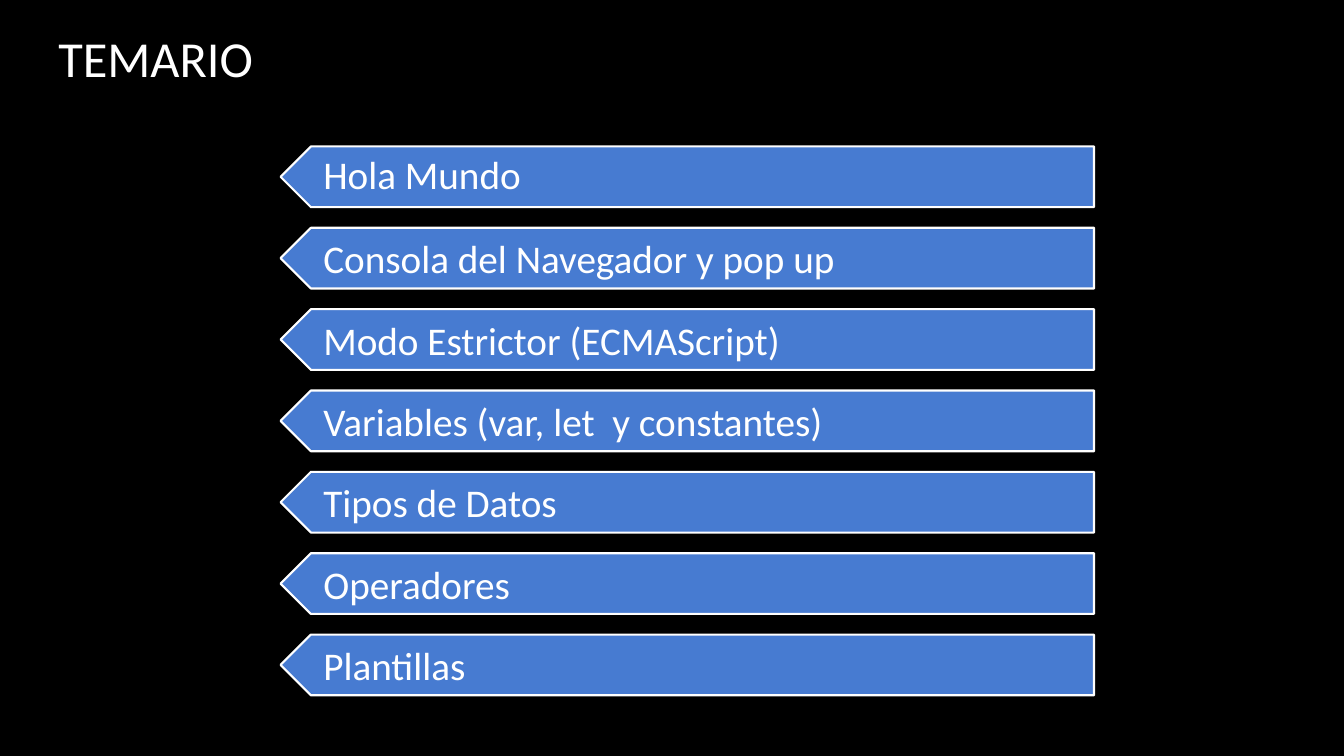
import pptx
import pptx.util
import pptx.dml.color
import pptx.enum.shapes
import pptx.enum.text

Cm = pptx.util.Cm
Pt = pptx.util.Pt
BLACK = pptx.dml.color.RGBColor(0x00, 0x00, 0x00)
WHITE = pptx.dml.color.RGBColor(0xFF, 0xFF, 0xFF)
BLUE = pptx.dml.color.RGBColor(0x47, 0x7B, 0xD1)

TOPICS = [
    "Hola Mundo",
    "Consola del Navegador y pop up",
    "Modo Estrictor (ECMAScript)",
    "Variables (var, let  y constantes)",
    "Tipos de Datos",
    "Operadores",
    "Plantillas",
]
TOP, STEP, HIGH = 3.69, 2.05, 1.53


def write(frame, text, size=28, font="Calibri", color=WHITE, lines=None):
    para = frame.paragraphs[0]
    if lines:
        para.line_spacing = lines
    run = para.add_run()
    run.text = text
    run.font.size = Pt(size)
    run.font.name = font
    run.font.color.rgb = color


class Deck:
    def __init__(self, slide):
        self.slide = slide
        self.fill = BLUE
        self.edge = WHITE
        fill = slide.background.fill
        fill.solid()
        fill.fore_color.rgb = BLACK

    def label(self, text, left, top, width, height, pads=(0.25, 0.13, 0.25, 0.13), **style):
        box = self.slide.shapes.add_textbox(Cm(left), Cm(top), Cm(width), Cm(height))
        frame = box.text_frame
        frame.word_wrap = True
        frame.vertical_anchor = pptx.enum.text.MSO_ANCHOR.MIDDLE
        frame.margin_left, frame.margin_top, frame.margin_right, frame.margin_bottom = map(Cm, pads)
        write(frame, text, **style)

    def arrow(self, left, top, width, height):
        kind = pptx.enum.shapes.MSO_SHAPE.PENTAGON
        shape = self.slide.shapes.add_shape(kind, Cm(left), Cm(top), Cm(width), Cm(height))
        shape.rotation = 180
        shape.shadow.inherit = False
        shape.fill.solid()
        shape.fill.fore_color.rgb = self.fill
        shape.line.color.rgb = self.edge
        shape.line.width = Pt(1.5)


def main():
    show = pptx.Presentation()
    show.slide_width = Cm(33.87)
    show.slide_height = Cm(19.05)
    deck = Deck(show.slides.add_slide(show.slide_layouts[6]))
    deck.label("TEMARIO", 1.22, -0.25, 28.14, 3.4, size=36)
    for row, topic in enumerate(TOPICS):
        top = TOP + row * STEP
        deck.arrow(7.07, top, 20.5, HIGH)
        deck.label(topic, 7.47, top, 20.1, HIGH, pads=(0.68, 0.25, 0.48, 0.25),
                   lines=None if row else 0.9)
    show.save("out.pptx")


if __name__ == "__main__":
    main()
